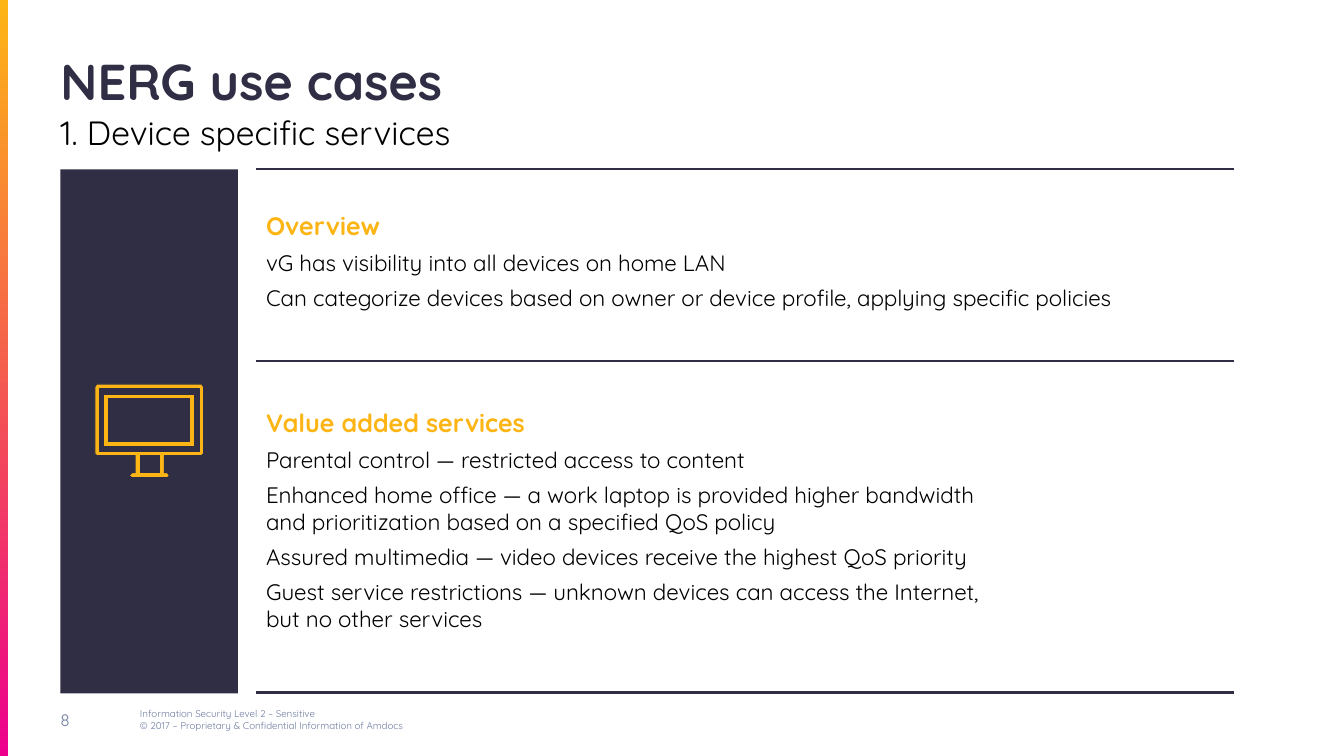
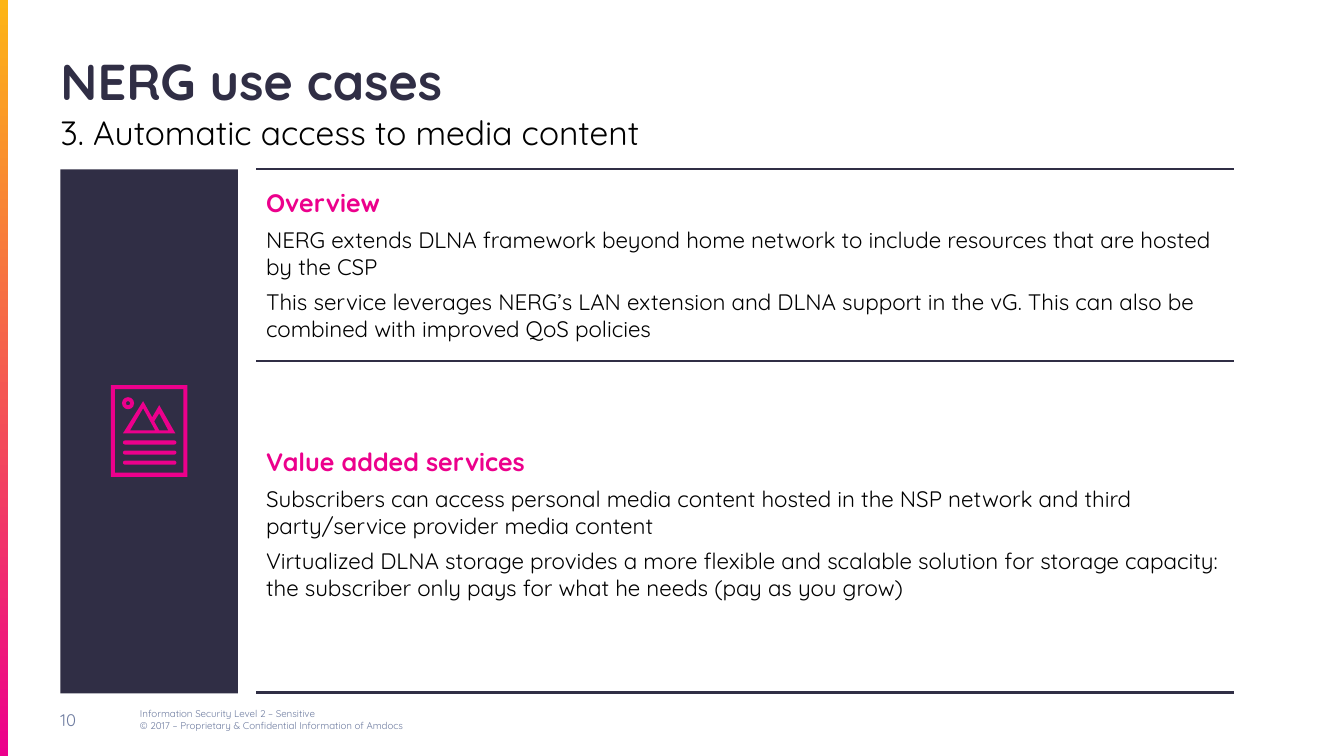
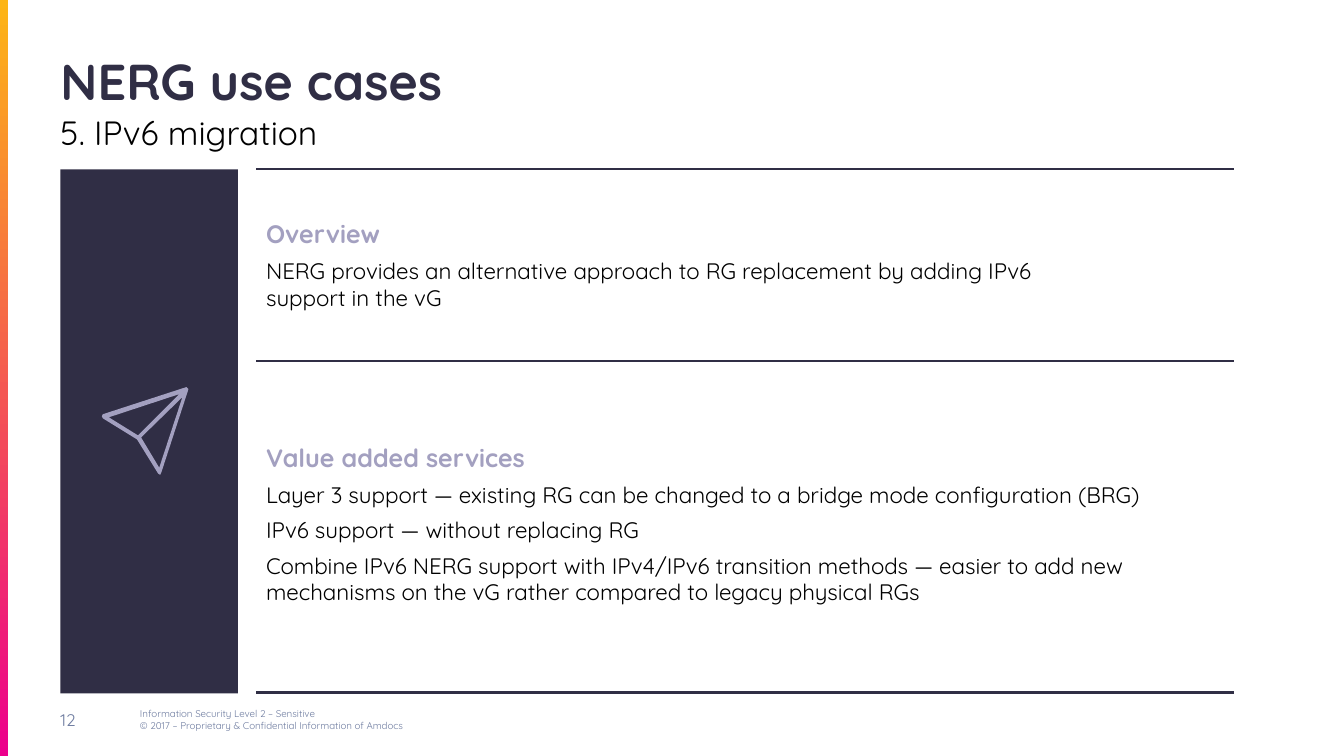
from copy import deepcopy

from lxml.etree import SubElement
from pptx import Presentation
from pptx.dml.color import RGBColor
from pptx.enum.shapes import MSO_CONNECTOR as Connector, MSO_SHAPE as Shape
from pptx.enum.text import MSO_ANCHOR as Anchor
from pptx.oxml.ns import qn
from pptx.util import Pt

PX = 9144  # EMU per px, 100 px to the inch
WIDTH, HEIGHT = 1333, 750
LEFT = 60
CONTENT_LEFT, CONTENT_RIGHT = 254, 1224
PANEL_TOP, PANEL_WIDTH, PANEL_HEIGHT = 168, 176, 520
RULES = [(168, 1.5), (358, 1), (687, 1.5)]

COLORS = {
    "ink": "302E45",
    "text": "000000",
    "footer": "6E7CA0",
    "yellow": "FDB515",
    "magenta": "EC008C",
    "lilac": "A3A0C0",
}
FORMATS = {
    "title": {"size": Pt(36), "bold": True},
    "subtitle": {"size": Pt(24), "bold": False},
    "heading": {"size": Pt(18), "bold": True},
    "body": {"size": Pt(16), "bold": False},
    "number": {"size": Pt(12), "bold": False},
    "footer": {"size": Pt(7), "bold": False},
}
FOOTER = ("Information Security Level 2 – Sensitive\n"
          "© 2017 – Proprietary & Confidential Information of Amdocs")


def rgb(color):
    return RGBColor.from_string(COLORS[color])


def corners(left, top, right, bottom):
    return [(left, top), (right, top), (right, bottom), (left, bottom)]


class Deck:
    """The presentation, its shared style and the slide being filled."""

    def __init__(self):
        self.presentation = Presentation()
        self.presentation.slide_width = WIDTH * PX
        self.presentation.slide_height = HEIGHT * PX
        self.slide = None

    def shape(self, kind, left, top, width, height, color, adjustment=None):
        shape = self.slide.shapes.add_shape(
            kind, left * PX, top * PX, width * PX, height * PX)
        if adjustment is not None:
            shape.adjustments[0] = adjustment
        self.paint(shape, color)
        return shape

    def paint(self, shape, color, line=None):
        shape.shadow.inherit = False
        shape.fill.solid()
        shape.fill.fore_color.rgb = rgb(color)
        if line:
            shape.line.color.rgb = rgb(line)
            shape.line.width = Pt(0.75)
        else:
            shape.line.fill.background()

    def outline(self, contours, color, line=None):
        """Fill closed contours; an inner contour cuts a hole."""
        builder = self.slide.shapes.build_freeform(*contours[0][0], scale=PX)
        builder.add_line_segments(contours[0][1:], close=True)
        for contour in contours[1:]:
            builder.move_to(*contour[0])
            builder.add_line_segments(contour[1:], close=True)
        self.paint(builder.convert_to_shape(), color, line)

    def rule(self, y, weight):
        line = self.slide.shapes.add_connector(
            Connector.STRAIGHT, CONTENT_LEFT * PX, y * PX, CONTENT_RIGHT * PX, y * PX)
        line.line.color.rgb = rgb("ink")
        line.line.width = Pt(weight)
        SubElement(line._element.spPr, qn("a:effectLst"))

    def text(self, left, top, width, height, paragraphs, anchor=Anchor.TOP,
             margins=(10, 5, 10, 5), space_after=0):
        """Each paragraph is (words, format name, colour)."""
        box = self.slide.shapes.add_textbox(left * PX, top * PX, width * PX, height * PX)
        frame = box.text_frame
        frame.word_wrap = True
        frame.vertical_anchor = anchor
        for side, margin in zip(("left", "top", "right", "bottom"), margins):
            setattr(frame, f"margin_{side}", margin * PX)
        for index, (words, style, color) in enumerate(paragraphs):
            paragraph = frame.add_paragraph() if index else frame.paragraphs[0]
            paragraph.text = words
            paragraph.space_after = Pt(space_after)
            for run in paragraph.runs:
                run.font.name = "Quicksand"
                run.font.color.rgb = rgb(color)
                for name, value in FORMATS[style].items():
                    setattr(run.font, name, value)
            for line_break in paragraph._p.findall(qn("a:br")):
                line_break.append(deepcopy(paragraph.runs[0]._r.rPr))

    def section(self, top, height, heading, lines, color, anchor=Anchor.TOP):
        paragraphs = [(heading, "heading", color)]
        paragraphs += [(line, "body", "text") for line in lines]
        self.text(CONTENT_LEFT, top, 978, height, paragraphs, anchor, space_after=6)

    def start_slide(self, number, subtitle):
        """Add a slide with everything the slides share."""
        self.slide = self.presentation.slides.add_slide(
            self.presentation.slide_layouts[6])
        band = self.shape(Shape.RECTANGLE, 0, 0, 8, HEIGHT, "yellow")
        band.fill.gradient()
        band.fill.gradient_angle = 270
        for stop, color in zip(band.fill.gradient_stops, ("yellow", "magenta")):
            stop.color.rgb = rgb(color)
        self.text(129, 694, 450, 40, [(FOOTER, "footer", "footer")], Anchor.MIDDLE)
        self.text(LEFT, 694, 69, 40, [(str(number), "number", "footer")],
                  Anchor.MIDDLE, (0, 5, 10, 5))
        self.text(LEFT, 49, 1213, 61, [("NERG use cases", "title", "ink")],
                  Anchor.BOTTOM, (0, 0, 0, 0))
        self.text(LEFT, 111, 1213, 48, [(subtitle, "subtitle", "text")],
                  margins=(0, 0, 0, 0))
        self.shape(Shape.RECTANGLE, LEFT, PANEL_TOP, PANEL_WIDTH, PANEL_HEIGHT, "ink")
        for y, weight in RULES:
            self.rule(y, weight)

    def monitor_icon(self, color):
        body = [(96, 381), (200, 381), (202, 384), (202, 450), (200, 452),
                (163, 452), (163, 469), (166, 469), (168, 472), (166, 474),
                (131, 474), (128, 472), (131, 469), (134, 469), (134, 452),
                (96, 452), (94, 450), (94, 384)]
        holes = [corners(139, 452, 158, 469), corners(99, 386, 198, 448)]
        screen = [corners(103, 391, 193, 443), corners(108, 395, 188, 438)]
        self.outline([body, *holes, *screen], color, line="ink")

    def document_icon(self, color):
        page = [corners(110, 382, 186, 473), corners(114, 386, 182, 469)]
        mountains = [
            [(158, 402), (151, 414), (142, 398), (122, 430), (174, 430)],
            [(129, 427), (142, 405), (154, 427)],
            [(158, 427), (153, 418), (158, 410), (167, 427)],
        ]
        self.outline(page + mountains, color)
        self.shape(Shape.DONUT, 121, 394, 12, 12, color, 0.33)
        for top in range(437, 458, 10):
            self.shape(Shape.ROUNDED_RECTANGLE, 122, top, 53, 4, color, 0.5)

    def plane_icon(self, color):
        body = [(187, 386), (185, 384), (102, 411), (101, 413), (102, 415),
                (136, 436), (157, 470), (159, 471), (160, 469)]
        upper_wing = [(178, 391), (137, 432), (108, 414)]
        lower_wing = [(158, 464), (140, 434), (181, 394)]
        self.outline([body, upper_wing, lower_wing], color)


USE_CASES = [
    {
        "number": 8, "subtitle": "1. Device specific services",
        "color": "yellow", "icon": Deck.monitor_icon,
        "overview": (193, 131, [
            "vG has visibility into all devices on home LAN",
            "Can categorize devices based on owner or device profile, "
            "applying specific policies",
        ]),
        "services": (399, 247, [
            "Parental control — restricted access to content",
            "Enhanced home office — a work laptop is provided higher bandwidth\n"
            "and prioritization based on a specified QoS policy",
            "Assured multimedia — video devices receive the highest QoS priority",
            "Guest service restrictions — unknown devices can access the Internet,\n"
            "but no other services",
        ]),
    },
    {
        "number": 10, "subtitle": "3. Automatic access to media content",
        "color": "magenta", "icon": Deck.document_icon,
        "overview": (180, 165, [
            "NERG extends DLNA framework beyond home network to include resources "
            "that are hosted by the CSP",
            "This service leverages NERG’s LAN extension and DLNA support in the vG. "
            "This can also be combined with improved QoS policies",
        ]),
        "services": (438, 169, [
            "Subscribers can access personal media content hosted in the NSP network "
            "and third party/service provider media content",
            "Virtualized DLNA storage provides a more flexible and scalable solution "
            "for storage capacity: the subscriber only pays for what he needs "
            "(pay as you grow)",
        ]),
    },
    {
        "number": 12, "subtitle": "5. IPv6 migration",
        "color": "lilac", "icon": Deck.plane_icon,
        "overview": (180, 165, [
            "NERG provides an alternative approach to RG replacement by adding IPv6\n"
            "support in the vG",
        ]),
        "services": (434, 176, [
            "Layer 3 support — existing RG can be changed to a bridge mode "
            "configuration (BRG)",
            "IPv6 support — without replacing RG",
            "Combine IPv6 NERG support with IPv4/IPv6 transition methods — easier to "
            "add new mechanisms on the vG rather compared to legacy physical RGs",
        ]),
    },
]


def main():
    deck = Deck()
    for case in USE_CASES:
        color = case["color"]
        deck.start_slide(case["number"], case["subtitle"])
        case["icon"](deck, color)
        top, height, lines = case["overview"]
        deck.section(top, height, "Overview", lines, color, Anchor.MIDDLE)
        top, height, lines = case["services"]
        deck.section(top, height, "Value added services", lines, color)
    deck.presentation.save("out.pptx")


if __name__ == "__main__":
    main()
